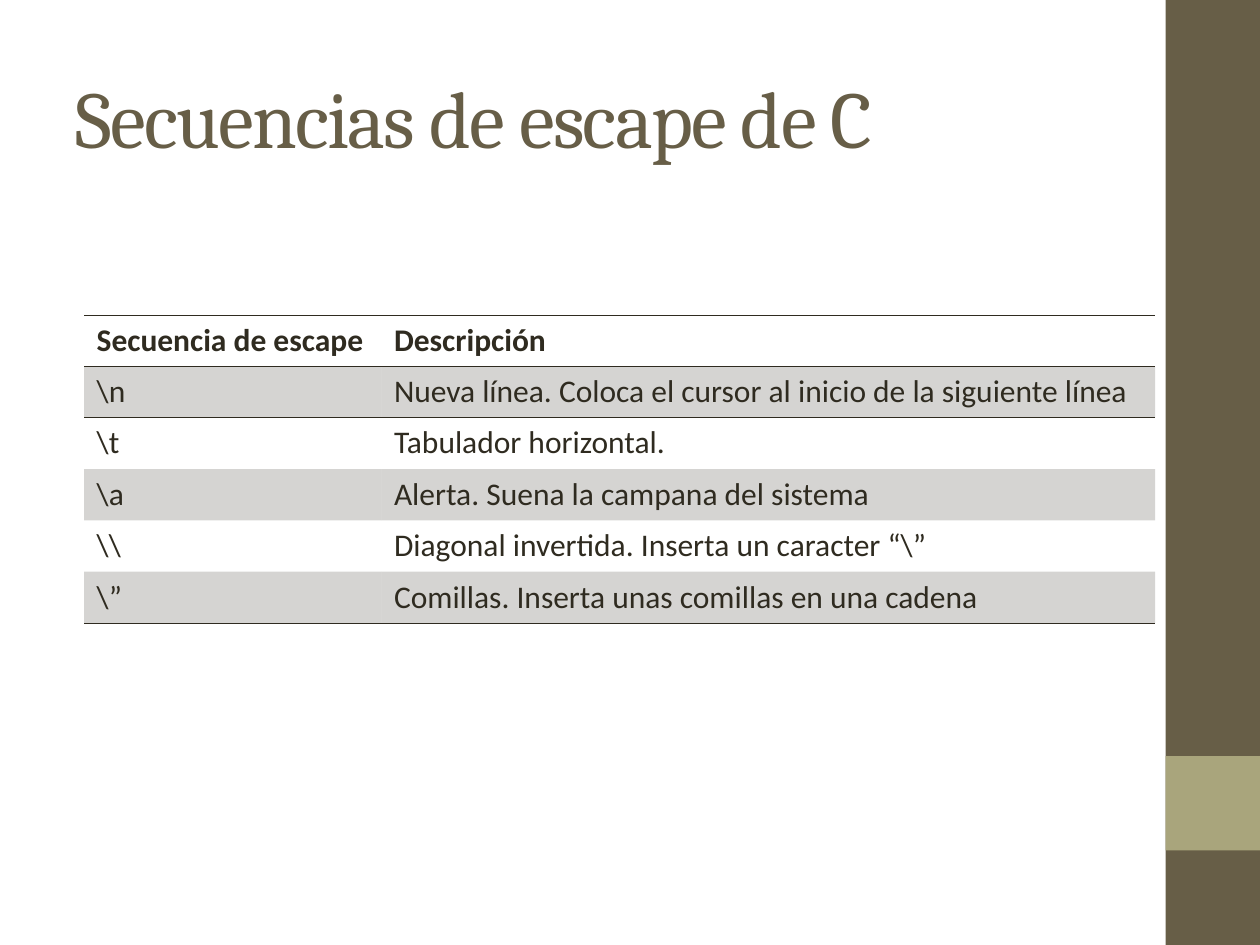
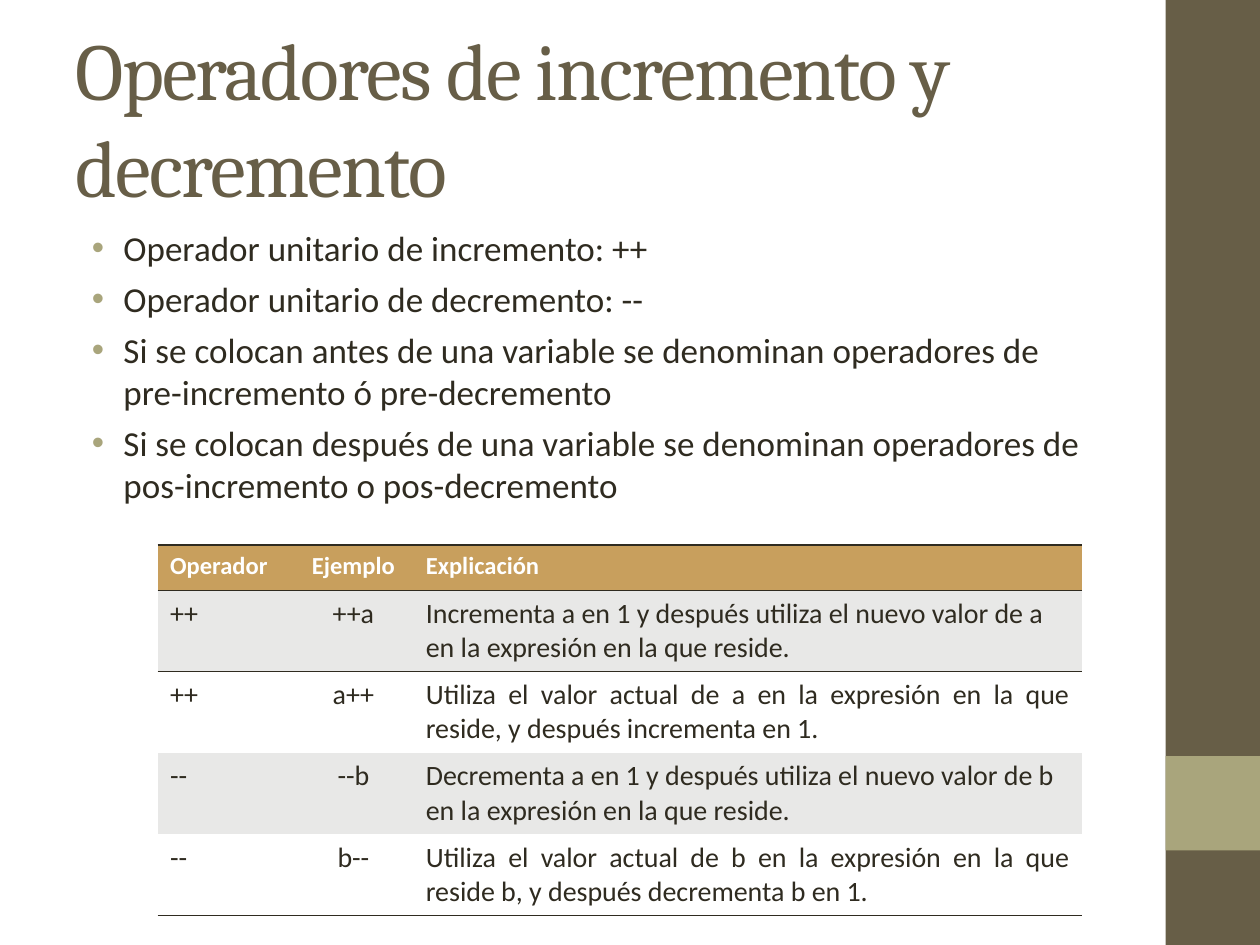
import lxml.etree
import pptx
import pptx.enum.shapes
import pptx.enum.text
import pptx.oxml
import pptx.oxml.ns
import pptx.util

CELL = pptx.util.Inches(0.25)
COLUMNS, ROWS = 40, 30
BROWN, SAGE, INK, WHITE = "675E47", "A9A57C", "2F2B20", "FFFFFF"
GOLD, PALE = "C89F5D", "E8E8E7"
HEADING_FONT, BODY_FONT = "Cambria", "Calibri"
PLAIN_TABLE_STYLE = "{2D5ABB26-0587-4C30-8999-92F81FD0307C}"
LEFT = pptx.enum.text.PP_ALIGN.LEFT
CENTER = pptx.enum.text.PP_ALIGN.CENTER
JUSTIFY = pptx.enum.text.PP_ALIGN.JUSTIFY


def grid(*cells):
    return [round(cell * CELL) for cell in cells]


def color(hex_text):
    return pptx.dml.color.RGBColor.from_string(hex_text)


def add_child(parent, tag, **attributes):
    return lxml.etree.SubElement(parent, pptx.oxml.ns.qn(tag), attributes)


def paint(fill, hex_text):
    fill.solid()
    fill.fore_color.rgb = color(hex_text)


def format_para(para, size, font, hex_text, bold=False, align=LEFT):
    para.alignment = align
    for span in para.runs:
        span.font.size = pptx.util.Pt(size)
        span.font.name = font
        span.font.bold = bold
        span.font.color.rgb = color(hex_text)


def place(box, *cells):
    box.left, box.top, box.width, box.height = grid(*cells)


def add_band(page, hex_text, top, height):
    band = page.shapes.add_shape(
        pptx.enum.shapes.MSO_SHAPE.RECTANGLE, *grid(37, top, 3, height))
    band.shadow.inherit = False
    paint(band.fill, hex_text)
    band.line.fill.background()


def add_page(deck, layout, title):
    page = deck.slides.add_slide(deck.slide_layouts[layout])
    add_band(page, BROWN, 0, ROWS)
    add_band(page, SAGE, 24, 3)
    box = page.shapes.title
    place(box, 2, 1.2, 33.33, 5)
    frame = box.text_frame
    frame.text = title
    frame.auto_size = pptx.enum.text.MSO_AUTO_SIZE.NONE
    frame.vertical_anchor = pptx.enum.text.MSO_ANCHOR.MIDDLE
    format_para(frame.paragraphs[0], 46, HEADING_FONT, BROWN)
    for span in frame.paragraphs[0].runs:
        span.font._element.set("spc", "-100")
    return page


def fill_list(page, items):
    box = page.placeholders[1]
    place(box, 2, 7, 33.33, 21)
    frame = box.text_frame
    frame.text = "\n".join(items)
    frame.auto_size = pptx.enum.text.MSO_AUTO_SIZE.NONE
    for para in frame.paragraphs:
        format_para(para, 20, BODY_FONT, INK)
        para.space_before = pptx.util.Pt(5)
        properties = para._p.get_or_add_pPr()
        properties.set("marL", str(pptx.util.Inches(0.38)))
        properties.set("indent", str(pptx.util.Inches(-0.25)))
        add_child(add_child(properties, "a:buClr"), "a:srgbClr", val=SAGE)
        add_child(properties, "a:buFont", typeface="Arial")
        add_child(properties, "a:buChar", char="•")


def add_rules(cell, sides, width):
    properties = cell._tc.get_or_add_tcPr()
    for index, side in enumerate(sides):
        rule = add_child(properties, "a:" + side, w=str(pptx.util.Pt(width)))
        add_child(add_child(rule, "a:solidFill"), "a:srgbClr", val=INK)
        properties.insert(index, rule)


def fill_cell(cell, text, hex_fill, alpha=100):
    cell.text_frame.text = text
    if hex_fill is None:
        cell.fill.background()
        return
    paint(cell.fill, hex_fill)
    if alpha < 100:
        tint = cell._tc.tcPr.find(".//" + pptx.oxml.ns.qn("a:srgbClr"))
        add_child(tint, "a:alpha", val=str(alpha * 1000))


def add_grid_table(page, left, top, widths, heights, records, head, body,
                   band, rule_width, alignments):
    frame = page.shapes.add_table(
        len(records), len(widths),
        *grid(left, top, sum(widths), sum(heights)))
    table = frame.table
    table.first_row = table.horz_banding = False
    style = table._tbl.tblPr.find(pptx.oxml.ns.qn("a:tableStyleId"))
    style.text = PLAIN_TABLE_STYLE
    for column, width in zip(table.columns, grid(*widths)):
        column.width = width
    for row, height in zip(table.rows, grid(*heights)):
        row.height = height
    for r, record in enumerate(records):
        is_head = r == 0
        size, ink, fill = head if is_head else body
        alpha = 100
        if r % 2:
            fill, alpha = band
        sides = ["lnT", "lnB"] if is_head else []
        if r == 1:
            sides = ["lnT"]
        if r == len(records) - 1:
            sides = ["lnB"]
        for c, text in enumerate(record):
            cell = table.cell(r, c)
            fill_cell(cell, text, fill, alpha)
            align = alignments[c]
            if align == JUSTIFY and (is_head or r % 2):
                align = LEFT
            format_para(cell.text_frame.paragraphs[0], size, BODY_FONT, ink,
                        is_head, align)
            add_rules(cell, sides, rule_width)


def add_escape_page(deck):
    page = add_page(deck, 5, "Secuencias de escape de C")
    records = [
        ("Secuencia de escape", "Descripción"),
        ("\\n", "Nueva línea. Coloca el cursor al inicio de la siguiente línea"),
        ("\\t", "Tabulador horizontal."),
        ("\\a", "Alerta. Suena la campana del sistema"),
        ("\\\\", "Diagonal invertida. Inserta un caracter “\\”"),
        ("\\”", "Comillas. Inserta unas comillas en una cadena"),
    ]
    add_grid_table(page, 2.67, 10, [9.44, 24.56], [1.63] * len(records),
                   records, (18, INK, None), (18, INK, None), (INK, 20),
                   0.45, [LEFT, LEFT])


def add_operator_page(deck):
    page = add_page(deck, 1, "Operadores de incremento y decremento")
    fill_list(page, [
        "Operador unitario de incremento: ++",
        "Operador unitario de decremento: --",
        "Si se colocan antes de una variable se denominan operadores de "
        "pre-incremento ó pre-decremento",
        "Si se colocan después de una variable se denominan operadores de "
        "pos-incremento o pos-decremento",
    ])
    records = [
        ("Operador", "Ejemplo", "Explicación"),
        ("++", "++a", "Incrementa a en 1 y después utiliza el nuevo valor "
         "de a en la expresión en la que reside."),
        ("++", "a++", "Utiliza el valor actual de a en la expresión en la "
         "que reside, y después incrementa en 1."),
        ("--", "--b", "Decrementa a en 1 y después utiliza el nuevo valor "
         "de b en la expresión en la que reside."),
        ("--", "b--", "Utiliza el valor actual de b en la expresión en la "
         "que reside b, y después decrementa b en 1."),
    ]
    add_grid_table(page, 5, 17.3, [4.32, 3.8, 21.24], [1.44] + [2.58] * 4,
                   records, (14, WHITE, GOLD), (16, INK, WHITE), (PALE, 100),
                   0.96, [LEFT, CENTER, JUSTIFY])


def main():
    deck = pptx.Presentation()
    deck.slide_width, deck.slide_height = grid(COLUMNS, ROWS)
    add_escape_page(deck)
    add_operator_page(deck)
    deck.save("out.pptx")


if __name__ == "__main__":
    main()
